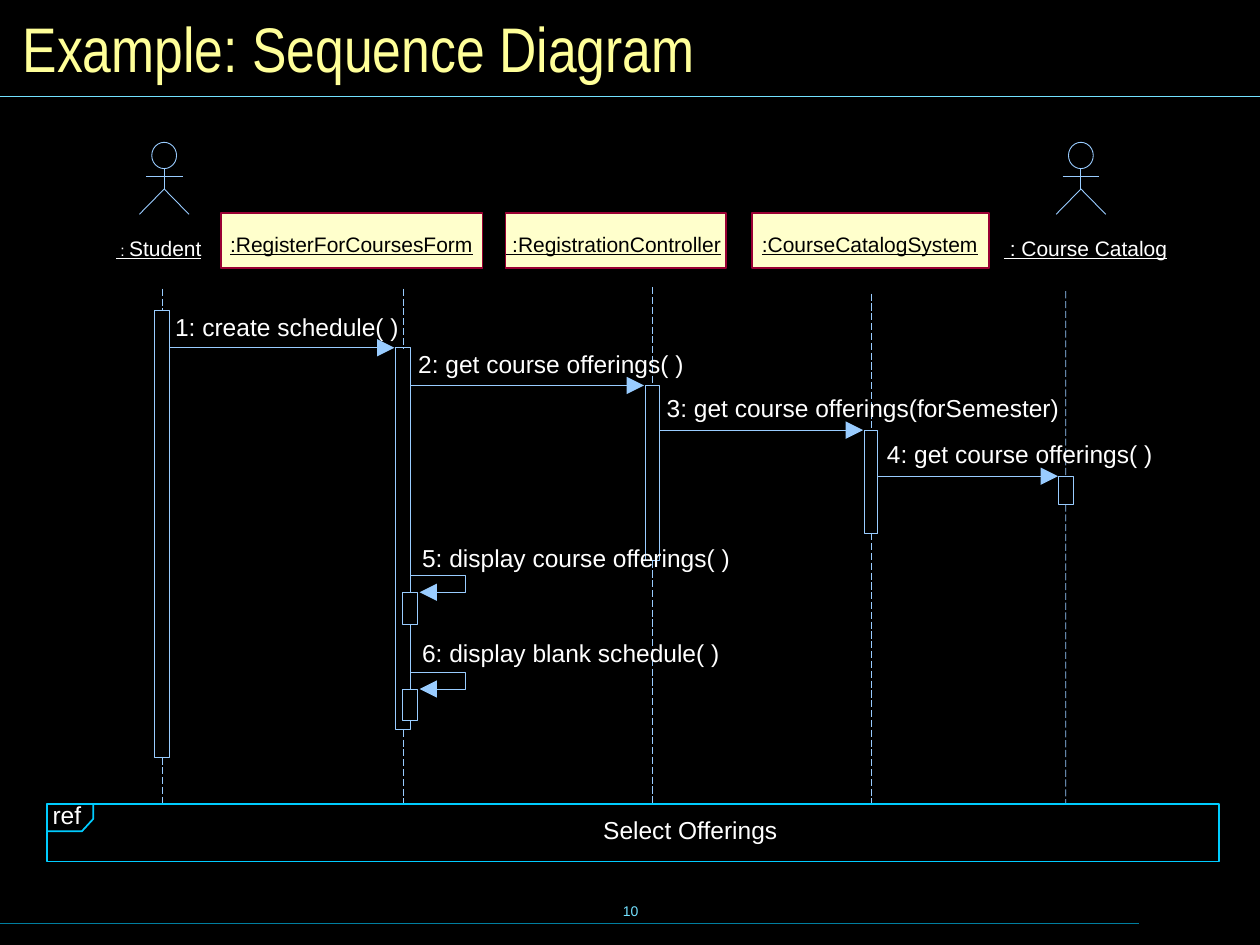
"""Build a slide with a UML sequence diagram for course registration."""
from lxml.etree import SubElement
from pptx import Presentation
from pptx.dml.color import RGBColor
from pptx.enum.dml import MSO_LINE
from pptx.enum.shapes import MSO_CONNECTOR, MSO_SHAPE
from pptx.enum.text import MSO_ANCHOR, MSO_AUTO_SIZE, PP_ALIGN
from pptx.oxml.ns import qn
from pptx.util import Cm, Pt

COLOURS = {
    "background": "000000", "title": "FFFF99", "rule": "73E1FF",
    "footer": "007E9F", "diagram": "99CCFF", "object": "FFFFCC",
    "border": "990033", "ref": "00CCFF", "light": "FFFFFF", "dark": "000000",
}

prs = Presentation()
prs.slide_width, prs.slide_height = Cm(25.4), Cm(19.05)
slide = prs.slides.add_slide(prs.slide_layouts[6])
slide.background.fill.solid()
slide.background.fill.fore_color.rgb = RGBColor.from_string(COLOURS["background"])
shapes = slide.shapes


def write(text, left, top, width, height, size=14, colour="light", font="Arial",
          underline=None, wrap=False, padded=False, align=PP_ALIGN.LEFT,
          spacing=None, lead="", lead_size=9):
    label = shapes.add_textbox(Cm(left), Cm(top), Cm(width), Cm(height))
    frame = label.text_frame
    frame.word_wrap = wrap
    frame.margin_left = frame.margin_right = Cm(0.25 if padded else 0)
    frame.margin_top = frame.margin_bottom = Cm(0.13 if padded else 0)
    if padded:
        frame.vertical_anchor = MSO_ANCHOR.MIDDLE
    else:
        frame.auto_size = MSO_AUTO_SIZE.SHAPE_TO_FIT_TEXT
    paragraph = frame.paragraphs[0]
    paragraph.alignment = align
    paragraph.line_spacing = spacing
    for part, points in ((lead, lead_size), (text, size)):
        if part:
            run = paragraph.add_run()
            run.text = part
            run.font.size = Pt(points)
            run.font.name = font
            run.font.underline = underline
            run.font.color.rgb = RGBColor.from_string(COLOURS[colour])
    return label


def outline(item, colour="diagram", weight=0.5, fill=None, dashed=False, arrow=False):
    item.line.color.rgb = RGBColor.from_string(COLOURS[colour])
    item.line.width = Pt(weight)
    if dashed:
        item.line.dash_style = MSO_LINE.LONG_DASH
    if arrow:
        SubElement(item.element.spPr.find(qn("a:ln")), qn("a:tailEnd"),
                   type="triangle", w="lg", len="lg")
    if fill:
        item.fill.solid()
        item.fill.fore_color.rgb = RGBColor.from_string(COLOURS[fill])
    elif hasattr(item, "fill"):
        item.fill.background()
    SubElement(item.element.spPr, qn("a:effectLst"))
    return item


write("10", 8.69, 17.73, 8.05, 1.27, size=8, colour="rule", padded=True,
      align=PP_ALIGN.CENTER)
for right, y, colour in ((22.96, 18.62, "footer"), (25.4, 1.94, "rule")):
    outline(shapes.add_connector(MSO_CONNECTOR.STRAIGHT, 0, Cm(y), Cm(right), Cm(y)),
            colour, 0.75)
write("Example: Sequence Diagram", 0.21, 0.21, 25, 1.48, size=36, colour="title",
      font="Arial Narrow", wrap=True, padded=True)

for centre in (3.31, 21.79):
    figure = [outline(shapes.add_shape(MSO_SHAPE.OVAL, Cm(centre - 0.25), Cm(2.87),
                                       Cm(0.5), Cm(0.53)))]
    for start_dx, start_y, end_dx, end_y in (
            (0, 3.4, 0, 3.81), (0.5, 4.32, 0, 3.81),
            (-0.5, 4.32, 0, 3.81), (-0.37, 3.56, 0.37, 3.56)):
        figure.append(outline(shapes.add_connector(
            MSO_CONNECTOR.STRAIGHT, Cm(centre + start_dx), Cm(start_y),
            Cm(centre + end_dx), Cm(end_y))))
    shapes.add_group_shape(figure)
write("Student", 2.34, 4.75, 2.74, 0.51, size=12, underline=True, wrap=True, lead=" : ")
write(" : Course Catalog", 20.24, 4.75, 3.4, 0.51, size=12, underline=True)

for name, left, width, name_left, name_width, wrap in (
        (":RegisterForCoursesForm", 4.45, 5.28, 4.64, 5, False),
        (" :RegistrationController", 10.19, 4.45, 10.21, 4.62, True),
        (":CourseCatalogSystem", 15.16, 4.78, 15.36, 4.5, False)):
    outline(shapes.add_shape(MSO_SHAPE.RECTANGLE, Cm(left), Cm(4.29), Cm(width), Cm(1.12)),
            "border", 1, fill="object")
    write(name, name_left, 4.67, name_width, 0.51, size=12, colour="dark",
          underline=True, wrap=wrap)

ref_top = 16.21
for left, top, width, height, life_start in (
        (3.12, 6.25, 0.3, 9.02, 5.82), (13.01, 7.77, 0.28, 3.53, 5.79),
        (17.42, 8.67, 0.28, 2.08, 5.92), (21.33, 9.6, 0.31, 0.57, 5.87)):
    activation = outline(shapes.add_shape(MSO_SHAPE.RECTANGLE, Cm(left), Cm(top),
                                          Cm(width), Cm(height)))
    x = Cm(left + width / 2)
    before = shapes.add_connector(MSO_CONNECTOR.STRAIGHT, x, Cm(life_start), x, Cm(top))
    before.end_connect(activation, 0)
    after = shapes.add_connector(MSO_CONNECTOR.STRAIGHT, x, Cm(top + height), x, Cm(ref_top))
    after.begin_connect(activation, 2)
    for lifeline in (before, after):
        outline(lifeline, dashed=True)
for start, end in ((5.82, 7.01), (14.71, ref_top)):
    outline(shapes.add_connector(MSO_CONNECTOR.STRAIGHT, Cm(8.13), Cm(start),
                                 Cm(8.13), Cm(end)), dashed=True)

for message, left, top, width, start, end, y in (
        ("1: create schedule( )", 3.53, 6.3, 4.62, 3.43, 7.95, 7.01),
        ("2: get course offerings( )", 8.43, 7.03, 5.5, 8.28, 12.98, 7.77),
        ("3: get course offerings(forSemester)", 13.44, 7.92, 8.05, 13.29, 17.4, 8.67),
        ("4: get course offerings( )", 17.88, 8.85, 5.5, 17.7, 21.33, 9.6)):
    write(message, left, top, width, 0.58)
    outline(shapes.add_connector(MSO_CONNECTOR.STRAIGHT, Cm(start), Cm(y), Cm(end), Cm(y)),
            arrow=True)

nested = []
for message, message_top, width, top in (
        ("5: display course offerings( )", 10.94, 6.35, 11.61),
        ("6: display blank schedule( )", 12.86, 6.2, 13.56)):
    write(message, 8.51, message_top, width, 0.58)
    self_call = shapes.build_freeform(Cm(8.28), Cm(top))
    self_call.add_line_segments([(Cm(x), Cm(y)) for x, y in (
        (9.38, top), (9.38, top + 0.33), (8.46, top + 0.33))], close=False)
    outline(self_call.convert_to_shape(), arrow=True)
    nested.append(outline(shapes.add_shape(MSO_SHAPE.RECTANGLE, Cm(8.12), Cm(top + 0.33),
                                           Cm(0.3), Cm(0.64))))
between = shapes.add_connector(MSO_CONNECTOR.STRAIGHT, Cm(8.27), Cm(12.58),
                               Cm(8.27), Cm(13.89))
between.begin_connect(nested[0], 2)
between.end_connect(nested[1], 0)
outline(between)
form_activation = shapes.build_freeform(Cm(8.28), Cm(11.94))
form_activation.add_line_segments([(Cm(x), Cm(y)) for x, y in (
    (8.28, 7.01), (7.98, 7.01), (7.98, 14.71), (8.28, 14.71), (8.28, 14.53))], close=False)
outline(form_activation.convert_to_shape())

ref_frame = outline(shapes.add_shape(MSO_SHAPE.RECTANGLE, Cm(0.95), Cm(ref_top),
                                     Cm(23.62), Cm(1.16)), "ref", 1)
ref_title = write("Select Offerings", 12.16, 16.56, 3.65, 0.46, spacing=Pt(13))
ref_corner = shapes.build_freeform(Cm(0.95), Cm(16.76))
ref_corner.add_line_segments([(Cm(x), Cm(y)) for x, y in (
    (0.95, ref_top), (1.88, ref_top), (1.88, 16.51), (1.65, 16.76))], close=True)
ref_tab = outline(ref_corner.convert_to_shape(), "ref", 1)
ref_name = write("ref", 1.06, 16.26, 0.65, 0.46, spacing=Pt(13))
shapes.add_group_shape([ref_frame, ref_title, ref_tab, ref_name])

prs.save("out.pptx")
